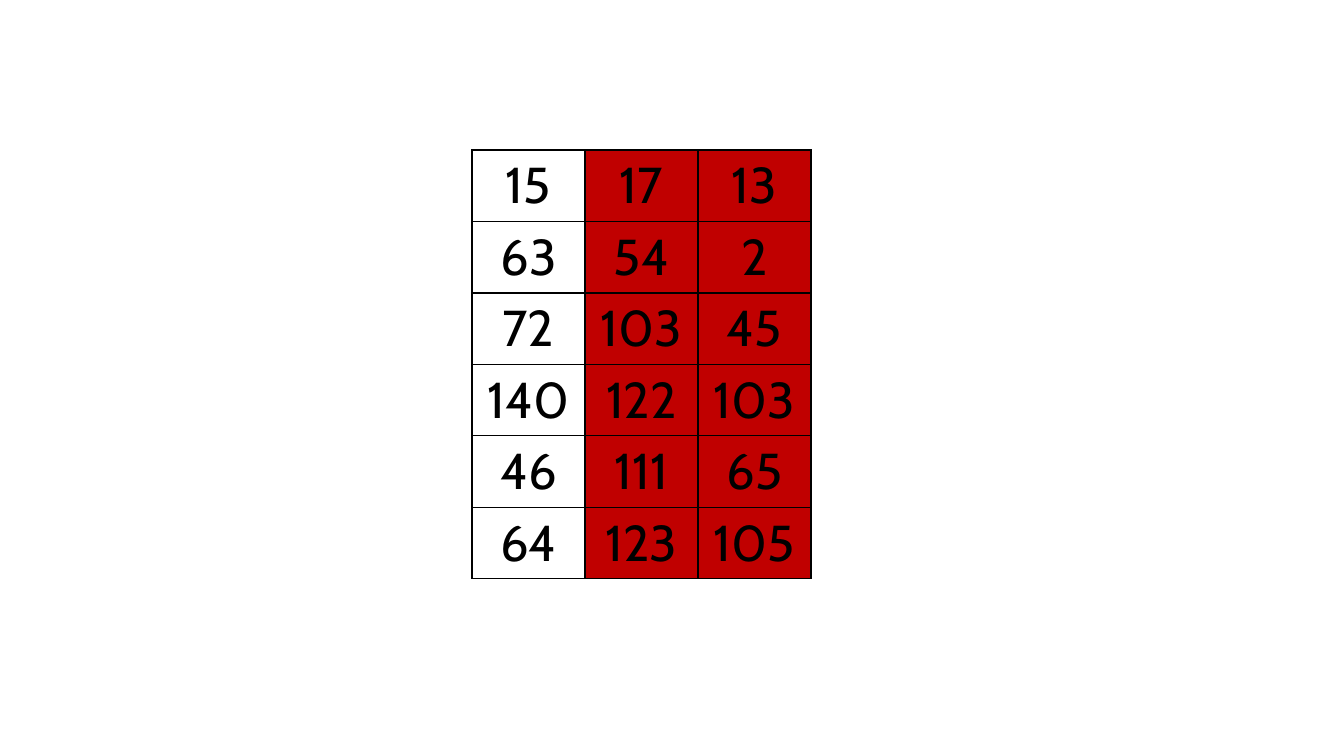
from lxml.etree import SubElement
from pptx import Presentation
from pptx.dml.color import RGBColor
from pptx.enum.text import PP_ALIGN
from pptx.oxml.ns import qn
from pptx.util import Inches, Pt

PX = Inches(1) / 100.8
COLORS = {"ink": "000000", "plain": "FFFFFF", "marked": "C00000"}
COLUMN_FILLS = ("plain", "marked", "marked")
NUMBERS = (
    (15, 17, 13),
    (63, 54, 2),
    (72, 103, 45),
    (140, 122, 103),
    (46, 111, 65),
    (64, 123, 105),
)


def px(length):
    return round(length * PX)


def rgb(name):
    return RGBColor.from_string(COLORS[name])


def add_borders(cell):
    properties = cell._tc.get_or_add_tcPr()
    for side in ("a:lnL", "a:lnR", "a:lnT", "a:lnB"):
        line = SubElement(properties, qn(side), w=str(Pt(1)))
        fill = SubElement(line, qn("a:solidFill"))
        SubElement(fill, qn("a:srgbClr"), val=COLORS["ink"])


def fill_cell(cell, number, fill_name):
    add_borders(cell)
    cell.fill.solid()
    cell.fill.fore_color.rgb = rgb(fill_name)
    paragraph = cell.text_frame.paragraphs[0]
    paragraph.alignment = PP_ALIGN.CENTER
    run = paragraph.add_run()
    run.text = str(number)
    run.font.name = "Cabin"
    run.font.size = Pt(36)
    run.font.bold = False
    run.font.color.rgb = rgb("ink")


def add_number_table(slide, left, top, width, height):
    row_count, column_count = len(NUMBERS), len(COLUMN_FILLS)
    table = slide.shapes.add_table(
        row_count, column_count, px(left), px(top), px(width), px(height)
    ).table
    table.first_row = False
    table.horz_banding = False
    for row, numbers in enumerate(NUMBERS):
        for column, (number, fill_name) in enumerate(zip(numbers, COLUMN_FILLS)):
            fill_cell(table.cell(row, column), number, fill_name)


def main():
    deck = Presentation()
    deck.slide_width, deck.slide_height = px(1344), px(756)
    slide = deck.slides.add_slide(deck.slide_layouts[6])
    add_number_table(slide, 472, 150, 339, 426)
    deck.save("out.pptx")


if __name__ == "__main__":
    main()
